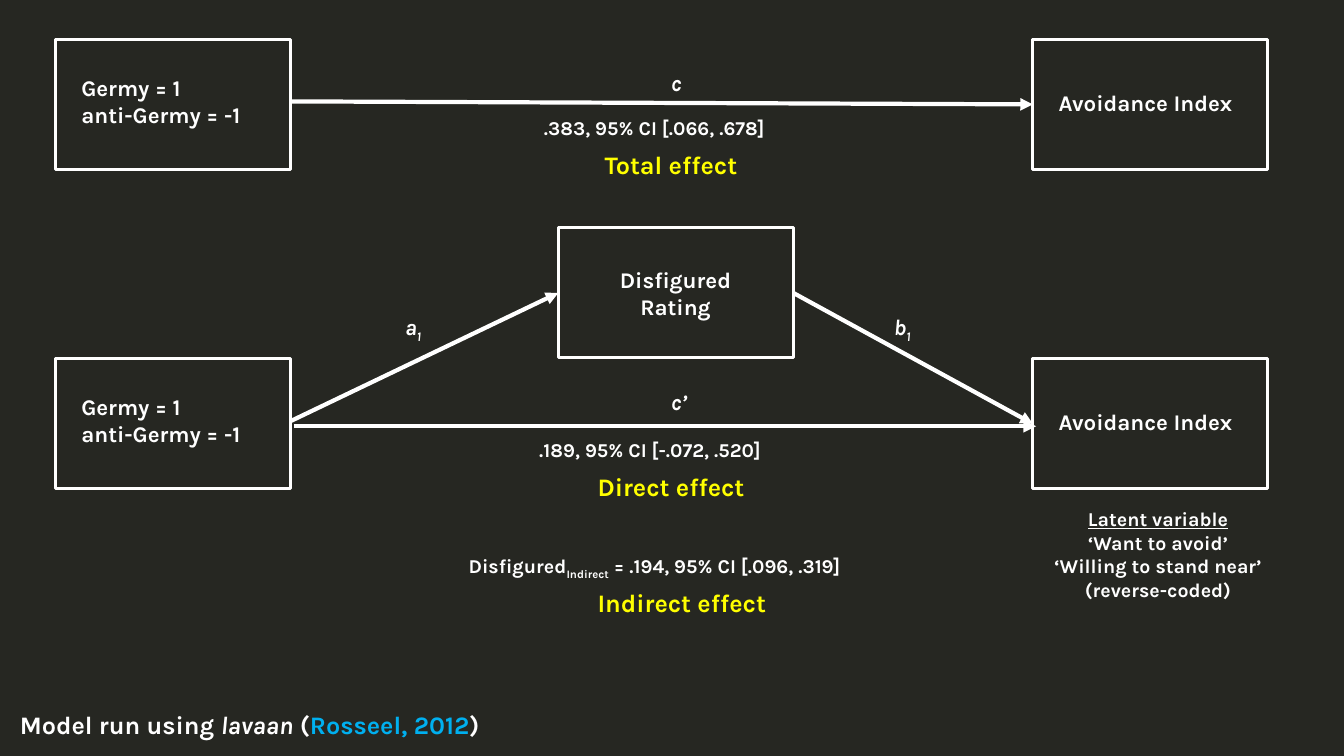
import pptx
import pptx.dml.color
import pptx.enum.shapes
import pptx.enum.text
import pptx.oxml.ns
import pptx.util
from lxml import etree

Cm = pptx.util.Cm
WHITE, YELLOW, BLUE, DARK = "FFFFFF", "FFFF00", "00B0F0", "262722"
BOX_W, BOX_H = 5.92, 3.28
LEFT, MID, RIGHT = 1.4, 14.07, 26.03
CAUSE = ["Germy = 1", "anti-Germy = -1"]
INDEX = ["Avoidance Index"]


def color(code):
    return pptx.dml.color.RGBColor.from_string(code)


def style(run, size, tint, italic=False, under=False, sub=False):
    font = run.font
    font.name, font.size, font.bold = "Karla", pptx.util.Pt(size), True
    font.color.rgb = color(tint)
    if italic:
        font.italic = True
    if under:
        font.underline = True
    if sub:
        run._r.get_or_add_rPr().set("baseline", "-25000")


def add_text(slide, left, top, width, height, lines, size=16, tint=WHITE,
             wrap=True, center=False):
    """Each line is a string or a list of (text, options) parts."""
    label = slide.shapes.add_textbox(Cm(left), Cm(top), Cm(width), Cm(height))
    frame = label.text_frame
    frame.word_wrap = wrap
    frame.auto_size = pptx.enum.text.MSO_AUTO_SIZE.SHAPE_TO_FIT_TEXT
    for i, line in enumerate(lines):
        para = frame.paragraphs[0] if i == 0 else frame.add_paragraph()
        if center:
            para.alignment = pptx.enum.text.PP_ALIGN.CENTER
        parts = [(line, {})] if isinstance(line, str) else line
        for text, opts in parts:
            run = para.add_run()
            run.text = text
            style(run, size, **{"tint": tint, **opts})
    return label


def add_box(slide, left, top):
    box = slide.shapes.add_shape(pptx.enum.shapes.MSO_SHAPE.RECTANGLE,
                                 Cm(left), Cm(top), Cm(BOX_W), Cm(BOX_H))
    box.shadow.inherit = False
    box.fill.background()
    box.line.color.rgb = color(WHITE)
    box.line.width = pptx.util.Pt(2.25)
    return box


def add_arrow(slide, start=None, end=None, ends=(0, 0, 0, 0)):
    """Run from the right side of start to the left side of end."""
    arrow = slide.shapes.add_connector(
        pptx.enum.shapes.MSO_CONNECTOR.STRAIGHT, *[Cm(n) for n in ends])
    if start is not None:
        arrow.begin_connect(start, 3)
    if end is not None:
        arrow.end_connect(end, 1)
    arrow.line.color.rgb = color(WHITE)
    arrow.line.width = pptx.util.Pt(3)
    qn = pptx.oxml.ns.qn
    etree.SubElement(arrow.line._get_or_add_ln(), qn("a:tailEnd"), type="triangle")
    etree.SubElement(arrow._element.spPr, qn("a:effectLst"))


def add_pair(slide, top):
    """Cause box on the left, outcome box on the right."""
    add_box(slide, LEFT, top)
    cause = add_text(slide, LEFT + 0.4, top + 0.75, 5.54, 1.63, CAUSE)
    index = add_box(slide, RIGHT, top)
    add_text(slide, RIGHT + 0.4, top + 1.13, 5.54, 0.94, INDEX)
    return cause, index


def main():
    deck = pptx.Presentation()
    deck.slide_width, deck.slide_height = Cm(33.87), Cm(19.05)
    slide = deck.slides.add_slide(deck.slide_layouts[6])
    slide.background.fill.solid()
    slide.background.fill.fore_color.rgb = color(DARK)

    # Total effect model
    cause, index = add_pair(slide, 0.99)
    add_arrow(slide, cause, index)

    # Mediation model
    cause, index = add_pair(slide, 9.04)
    rating = add_box(slide, MID, 5.74)
    add_text(slide, 15.16, 6.58, 3.73, 1.63, ["Disfigured", "Rating"], center=True)
    add_arrow(slide, cause, rating)
    add_arrow(slide, rating, index)
    add_arrow(slide, ends=(7.42, 10.74, 26.11, 10.74))

    # Path names
    for left, top, name, sub in [(9.96, 7.77, "a", "1"), (22.28, 7.77, "b", "1"),
                                 (16.66, 1.63, "c", ""), (16.66, 9.65, "c’", "")]:
        parts = [(name, {"italic": True})]
        if sub:
            parts.append((sub, {"italic": True, "sub": True}))
        add_text(slide, left, top, 1.47, 0.94, [parts])

    # Estimates
    add_text(slide, 13.46, 2.79, 7.14, 0.86, [".383, 95% CI [.066, .678]"],
             size=14, wrap=False)
    add_text(slide, 13.34, 10.9, 7.37, 0.86, [".189, 95% CI [-.072, .520]"],
             size=14, wrap=False)
    add_text(slide, 11.56, 13.84, 12.19, 0.86,
             [[("Disfigured", {}), ("Indirect", {"sub": True}),
               (" = .194, 95% CI [.096, .319]", {})]], size=14)

    # Effect names
    for left, top, width, name in [(14.99, 3.63, 4.09, "Total effect"),
                                   (14.81, 11.76, 4.47, "Direct effect"),
                                   (14.81, 14.68, 5.05, "Indirect effect")]:
        add_text(slide, left, top, width, 1.02, [name], 18, YELLOW, wrap=False)

    # Notes on the outcome and the method
    add_text(slide, 26.16, 12.65, 6.05, 2.64,
             [[("Latent variable", {"under": True})], "‘Want to avoid’",
              "‘Willing to stand near’", "(reverse-coded)"], size=14, center=True)
    add_text(slide, 0.25, 17.75, 13.72, 1.02,
             [[("Model run using ", {}), ("lavaan", {"italic": True}), (" (", {}),
               ("Rosseel, 2012", {"tint": BLUE}), (")", {})]], size=18, wrap=False)

    deck.save("out.pptx")


if __name__ == "__main__":
    main()
